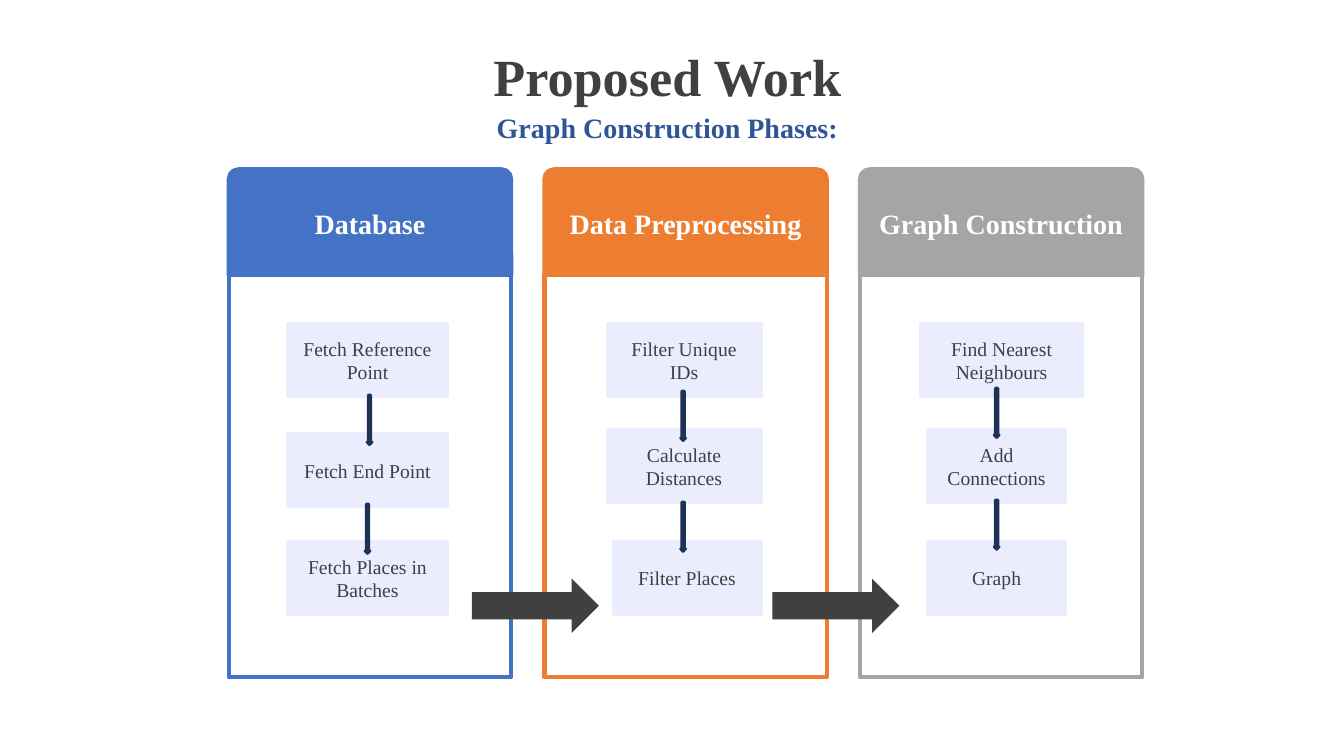
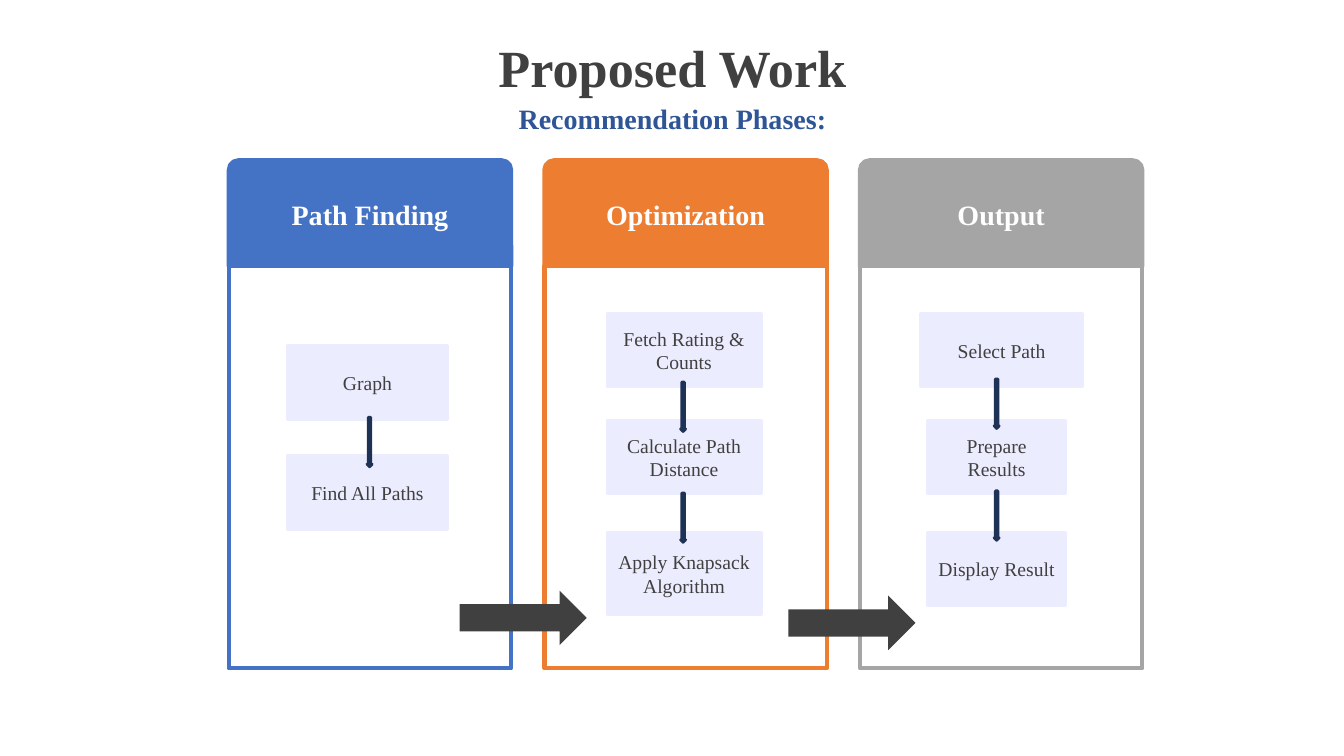
from pptx import Presentation
from pptx import util as u
from pptx.dml.color import RGBColor
from pptx.enum import shapes, text

W, H = 13.33, 7.5
COL_X, COL_W, COL_STEP = 2.27, 2.8, 3.13
HEAD_H, BODY_H = 1.05, 3.99
STEP_H = 0.73
ACCENTS = ["4472C4", "ED7D31", "A5A5A5"]
DARK, NAVY, SUBTITLE, WHITE, LILAC = "404040", "1E3256", "2F5597", "FFFFFF", "ECECFF"

TITLE_FONT = {"size": u.Pt(37.3), "bold": True}
HEADING_FONT = {"size": u.Pt(20), "bold": True}
STEP_FONT = {"size": u.Pt(14), "bold": False}
NO_INSETS = (0, 0, 0, 0)
HEAD_INSETS = (0.13, 0.07, 0.13, 0.07)
STEP_INSETS = (0.1, 0.05, 0.1, 0.05)

# Steps: text, left and top from the column's corner, width, height.
# Links: left from the column's corner, rise above the step they point to.
SLIDES = [
    {
        "subtitle": "Graph Construction Phases:", "left": 0.52, "top": 1.68,
        "transfers": [(4.68, 4.06), (7.66, 4.06)],
        "columns": [
            ("Database",
             [("Fetch Reference Point", 0.58, 1.53, 1.59, STEP_H),
              ("Fetch End Point", 0.58, 2.62, 1.59, STEP_H),
              ("Fetch Places in Batches", 0.58, 3.69, 1.59, STEP_H)],
             [(1.37, 0.38), (1.35, 0.37)]),
            ("Data Preprocessing",
             [("Filter Unique IDs", 0.62, 1.53, 1.53, STEP_H),
              ("Calculate Distances", 0.62, 2.58, 1.53, STEP_H),
              ("Filter Places", 0.68, 3.69, 1.47, STEP_H)],
             [(1.35, 0.38), (1.35, 0.39)]),
            ("Graph Construction",
             [("Find Nearest Neighbours", 0.6, 1.53, 1.61, STEP_H),
              ("Add Connections", 0.67, 2.58, 1.37, STEP_H),
              ("Graph", 0.67, 3.69, 1.37, STEP_H)],
             [(1.33, 0.41), (1.33, 0.41)]),
        ],
    },
    {
        "subtitle": "Recommendation Phases:", "left": 0.57, "top": 1.59,
        "transfers": [(4.56, 4.27), (7.82, 4.32)],
        "columns": [
            ("Path Finding",
             [("Graph", 0.58, 1.84, 1.59, STEP_H),
              ("Find All Paths", 0.58, 2.93, 1.59, STEP_H)],
             [(1.37, 0.38)]),
            ("Optimization",
             [("Fetch Rating & Counts", 0.62, 1.52, 1.53, STEP_H),
              ("Calculate Path Distance", 0.62, 2.58, 1.53, STEP_H),
              ("Apply Knapsack Algorithm", 0.62, 3.69, 1.53, 0.82)],
             [(1.35, 0.38), (1.35, 0.39)]),
            ("Output",
             [("Select Path", 0.6, 1.52, 1.61, STEP_H),
              ("Prepare Results", 0.67, 2.58, 1.37, STEP_H),
              ("Display Result", 0.67, 3.69, 1.37, STEP_H)],
             [(1.33, 0.41), (1.33, 0.41)]),
        ],
    },
]


def rgb(value):
    """Turn a hex string into a colour."""
    return RGBColor.from_string(value)


def inches(*values):
    """Turn numbers into inch lengths."""
    return [u.Inches(v) for v in values]


def write(sp, words, font, color, insets, spacing=1.0):
    """Put one centred paragraph in a shape or text box."""
    tf = sp.text_frame
    tf.word_wrap = True
    tf.vertical_anchor = text.MSO_ANCHOR.MIDDLE
    for side, inset in zip(("left", "top", "right", "bottom"), inches(*insets)):
        setattr(tf, f"margin_{side}", inset)
    p = tf.paragraphs[0]
    p.alignment, p.line_spacing = text.PP_ALIGN.CENTER, spacing
    r = p.add_run()
    r.text = words
    for name, value in {"name": "Times New Roman", **font}.items():
        setattr(r.font, name, value)
    r.font.color.rgb = rgb(color)


def add_box(parent, kind, box, fill, line=None, width=2):
    """Add a flat preset shape; without a line colour it has no outline."""
    sp = parent.shapes.add_shape(kind, *inches(*box))
    sp.shadow.inherit = False
    sp.fill.solid()
    sp.fill.fore_color.rgb = rgb(fill)
    if line:
        sp.line.color.rgb = rgb(line)
        sp.line.width = u.Pt(width)
    else:
        sp.line.fill.background()
    return sp


def add_titles(s, left, top, subtitle):
    """Place the title and subtitle above the columns, which start at top."""
    lines = [(subtitle, top - 0.52, 0.25, HEADING_FONT, SUBTITLE),
             ("Proposed Work", top - 1.19, 0.6, TITLE_FONT, DARK)]
    for words, y, height, font, color in lines:
        sp = s.shapes.add_textbox(*inches(left, y, 12.2, height))
        write(sp, words, font, color, NO_INSETS, 0.9)


def add_column(s, x, y, heading, accent):
    """Draw a column's rounded heading and its frame as a group."""
    group = s.shapes.add_group_shape()
    head = add_box(group, shapes.MSO_SHAPE.ROUND_2_SAME_RECTANGLE,
                   (x, y, COL_W, HEAD_H), accent, accent, 3)
    head.adjustments[0], head.adjustments[1] = 0.09, 0
    write(head, heading, HEADING_FONT, WHITE, HEAD_INSETS)
    add_box(group, shapes.MSO_SHAPE.RECTANGLE,
            (x, y + HEAD_H, COL_W, BODY_H), WHITE, accent, 3)


def add_steps(s, x, y, steps, links):
    """Draw a column's steps and the arrows leading from each to the next."""
    for words, dx, dy, width, height in steps:
        sp = add_box(s, shapes.MSO_SHAPE.RECTANGLE,
                     (x + dx, y + dy, width, height), LILAC, LILAC)
        write(sp, words, STEP_FONT, DARK, STEP_INSETS)
    for (dx, rise), step in zip(links, steps[1:]):
        add_box(s, shapes.MSO_SHAPE.DOWN_ARROW,
                (x + dx, y + step[2] - rise, 0.05, 0.49), ACCENTS[0], NAVY)


def add_phases(prs, subtitle, left, top, transfers, columns):
    """Build one slide of three phases."""
    s = prs.slides.add_slide(prs.slide_layouts[6])
    add_titles(s, left, top, subtitle)
    lefts = [COL_X + i * COL_STEP for i in range(len(columns))]
    for x, (heading, _, _), accent in zip(lefts, columns, ACCENTS):
        add_column(s, x, top, heading, accent)
    for x, dy in transfers:
        add_box(s, shapes.MSO_SHAPE.RIGHT_ARROW, (x, top + dy, 1.26, 0.54), DARK)
    for x, (_, steps, links) in zip(lefts, columns):
        add_steps(s, x, top, steps, links)


def main():
    """Build and save the presentation."""
    prs = Presentation()
    prs.slide_width, prs.slide_height = inches(W, H)
    for phases in SLIDES:
        add_phases(prs, **phases)
    prs.save("out.pptx")


if __name__ == "__main__":
    main()
